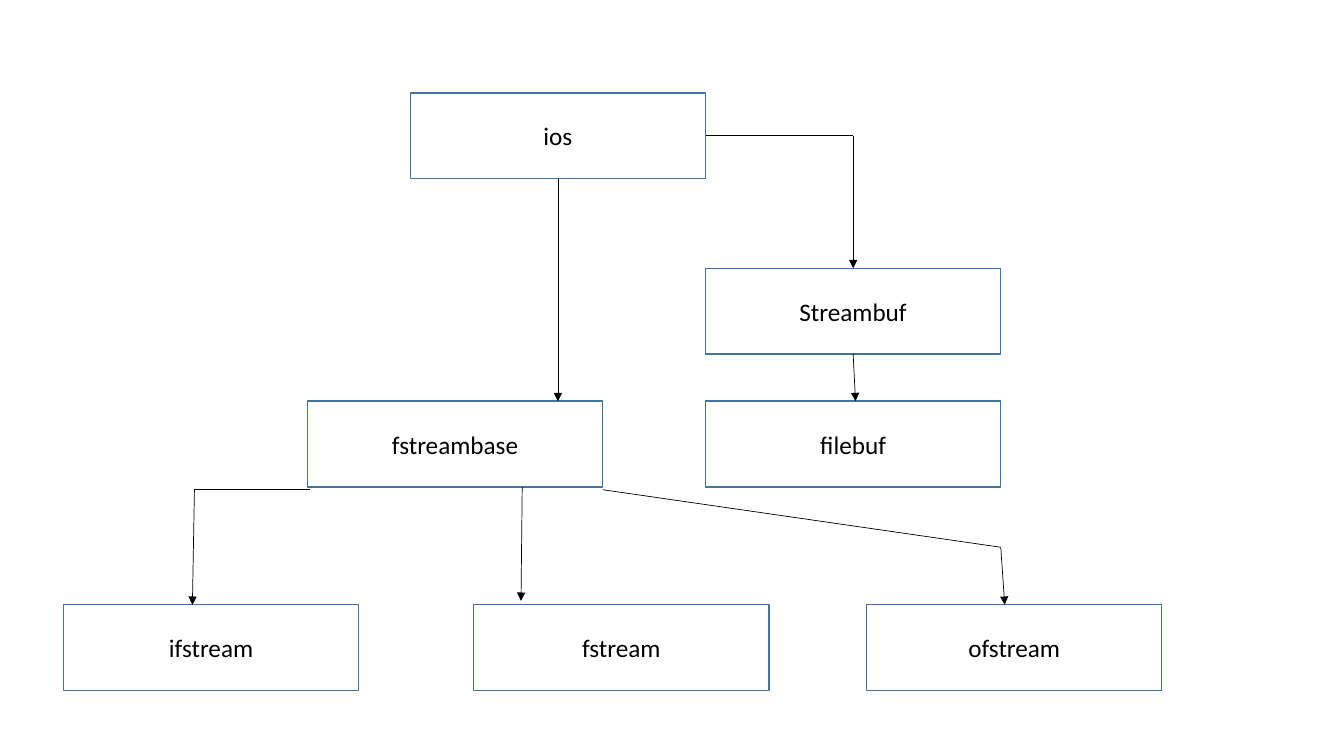
from dataclasses import dataclass
from itertools import pairwise

from lxml import etree
from pptx import Presentation
from pptx.dml.color import RGBColor
from pptx.enum import shapes, text
from pptx.oxml.ns import qn
from pptx.util import Cm, Pt

BOX_WIDTH, BOX_HEIGHT = 7.44, 2.16
BORDER, INK = "43739E", "000000"
FONT = {"name": "Calibri", "size": Pt(18)}

Point = tuple[float, float]


@dataclass(frozen=True)
class ClassBox:
    name: str
    left: float
    top: float

    @property
    def right(self) -> float:
        return self.left + BOX_WIDTH

    @property
    def bottom(self) -> float:
        return self.top + BOX_HEIGHT

    @property
    def center(self) -> float:
        return self.left + BOX_WIDTH / 2

    @property
    def middle(self) -> float:
        return self.top + BOX_HEIGHT / 2


def color(hex_code: str) -> RGBColor:
    return RGBColor.from_string(hex_code)


def draw_box(slide, box: ClassBox) -> None:
    shape = slide.shapes.add_shape(
        shapes.MSO_SHAPE.RECTANGLE,
        Cm(box.left), Cm(box.top), Cm(BOX_WIDTH), Cm(BOX_HEIGHT))
    shape.shadow.inherit = False
    shape.fill.background()
    shape.line.color.rgb = color(BORDER)
    shape.line.width = Pt(1)
    frame = shape.text_frame
    frame.vertical_anchor = text.MSO_ANCHOR.MIDDLE
    paragraph = frame.paragraphs[0]
    paragraph.alignment = text.PP_ALIGN.CENTER
    label = paragraph.add_run()
    label.text = box.name
    for attribute, value in FONT.items():
        setattr(label.font, attribute, value)
    label.font.color.rgb = color(INK)


def draw_route(slide, route: list[Point]) -> None:
    """Join the points with lines; the last line ends in an arrowhead."""
    for start, end in pairwise(route):
        segment = slide.shapes.add_connector(
            shapes.MSO_CONNECTOR.STRAIGHT, *map(Cm, start + end))
        segment.line.color.rgb = color(INK)
        segment.line.width = Pt(0.5)
        properties = segment._element.spPr
        etree.SubElement(properties, qn("a:effectLst"))
    line = properties.find(qn("a:ln"))
    etree.SubElement(line, qn("a:tailEnd"), type="triangle")


# Classes of the stream hierarchy, in centimetres
ios = ClassBox("ios", 10.34, 2.34)
streambuf = ClassBox("Streambuf", ios.right, 6.76)
filebuf = ClassBox("filebuf", streambuf.left, 10.11)
fstreambase = ClassBox("fstreambase", 7.75, filebuf.top)
ifstream, fstream, ofstream = (
    ClassBox(name, left, 15.24)
    for name, left in (("ifstream", 1.6), ("fstream", 11.94), ("ofstream", 21.84)))
BOXES = [ios, streambuf, filebuf, fstreambase, ifstream, ofstream, fstream]

# Inheritance routes from base to derived class
BRANCH_TOP = 12.34
ROUTES: list[list[Point]] = [
    [(ios.center, ios.bottom), (ios.center, fstreambase.top)],
    [(ios.right, ios.middle), (streambuf.center, ios.middle),
     (streambuf.center, streambuf.top)],
    [(streambuf.center, streambuf.bottom), (21.56, filebuf.top)],
    [(13.16, fstreambase.bottom), (13.13, 15.14)],
    [(7.8, BRANCH_TOP), (4.9, BRANCH_TOP), (4.85, ifstream.top)],
    [(fstreambase.right, BRANCH_TOP), (streambuf.right, 13.79),
     (25.32, ofstream.top)],
]

# Slide
presentation = Presentation()
presentation.slide_width, presentation.slide_height = Cm(33.87), Cm(19.05)
hierarchy = presentation.slides.add_slide(presentation.slide_layouts[6])
for class_box in BOXES:
    draw_box(hierarchy, class_box)
for inheritance in ROUTES:
    draw_route(hierarchy, inheritance)
presentation.save("out.pptx")
